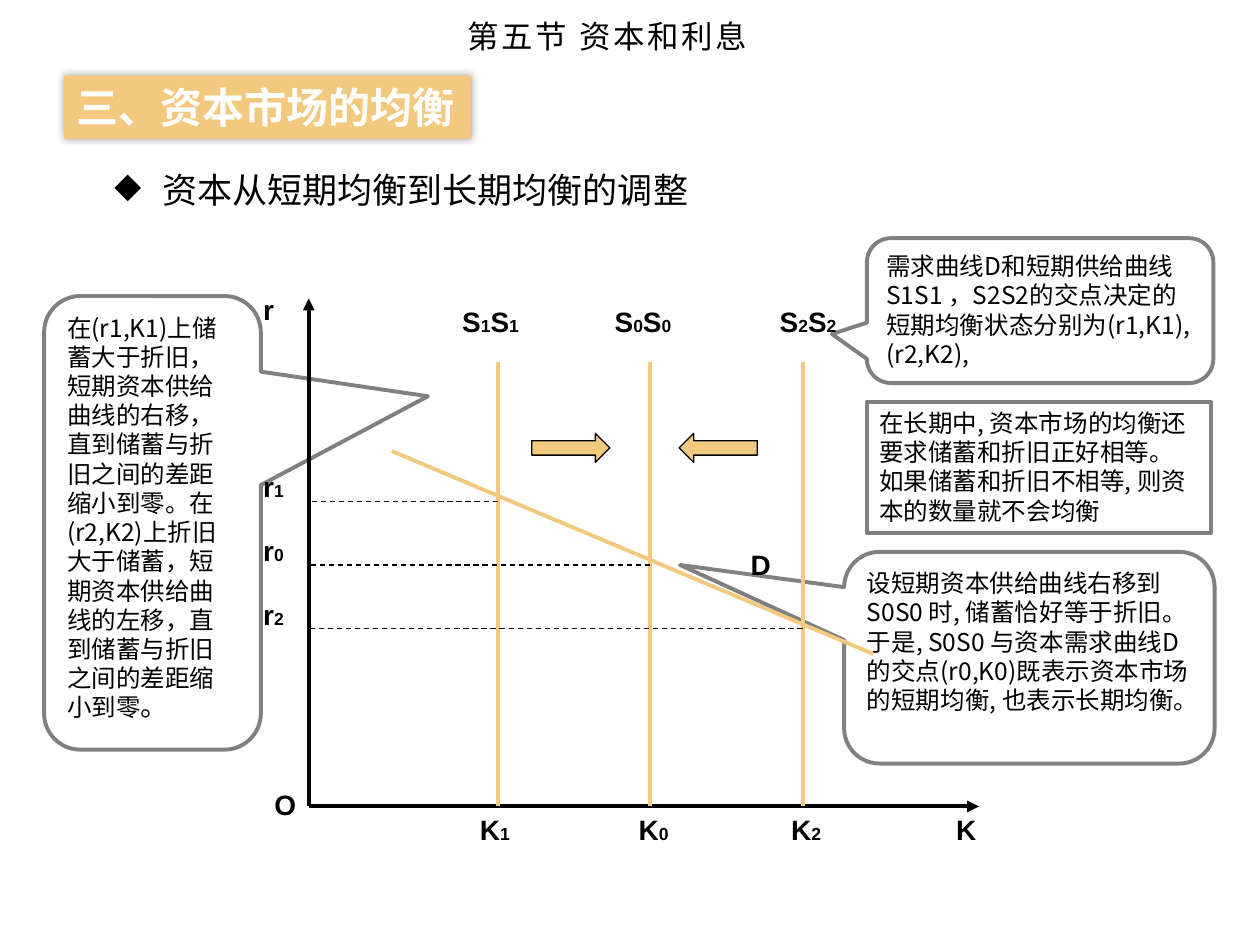
from lxml import etree
from pptx import Presentation, util as u
from pptx.dml.color import RGBColor
from pptx.enum import dml, shapes, text
from pptx.oxml.ns import qn

COLORS = {"ink": "000000", "sand": "F3C97F", "grey": "808080", "white": "FFFFFF"}
CJK, LATIN = "Noto Sans CJK SC", "Arial"
KIND = shapes.MSO_SHAPE

deck = Presentation()
deck.slide_width, deck.slide_height = u.Inches(10), u.Inches(7.5)
slide = deck.slides.add_slide(deck.slide_layouts[5])


def grid(*cells):
    """Lengths on a grid of 100 columns by 75 rows."""
    return [int(cell * deck.slide_width / 100) for cell in cells]


def write(holder, pieces, font=CJK, color="ink", bold=False, pitch=1.19):
    """Fill the first paragraph with (text, size) runs."""
    frame = holder.text_frame
    frame.word_wrap = True
    frame.vertical_anchor = text.MSO_ANCHOR.TOP
    line = frame.paragraphs[0]
    line.alignment = text.PP_ALIGN.LEFT
    if font == CJK:
        line.line_spacing = u.Pt(round(pieces[0][1] * pitch, 1))
    for words, size in pieces:
        run = line.add_run()
        run.text = words
        run.font.size, run.font.bold, run.font.name = u.Pt(size), bold, font
        run.font.color.rgb = RGBColor.from_string(COLORS[color])
        etree.SubElement(run._r.get_or_add_rPr(), qn("a:ea"), typeface=font)
    return line


# Section title
title = slide.shapes.title
title.left, title.top, title.width, title.height = grid(10, 0.4, 76.4, 5)
heading = write(title, [("第五节 资本和利息", 18)])
heading.alignment = text.PP_ALIGN.CENTER
title.text_frame.vertical_anchor = text.MSO_ANCHOR.MIDDLE
heading.runs[0]._r.get_or_add_rPr().set("spc", "150")

# Bulleted topic
topic = slide.shapes.add_textbox(*grid(8.1, 12.9, 90, 5))
bullet = topic.text_frame.paragraphs[0]._p.get_or_add_pPr()
indent = grid(3.8)[0]
bullet.set("marL", str(indent))
bullet.set("indent", str(-indent))
etree.SubElement(bullet, qn("a:buChar"), char="◆")
write(topic, [("资本从短期均衡到长期均衡的调整", 20)])

# Explanations around the chart
explanations = [
    (KIND.ROUNDED_RECTANGULAR_CALLOUT, (68.8, 18.9, 27.5, 11.5), (-0.601, 0.162, 0.167),
     [("需求曲线D和短期供给曲线S1S1 ，S2S2的交点决定的短期均衡状态分别为(r1,K1), (r2,K2),", 14)]),
    (KIND.RECTANGLE, (68.8, 31.9, 27.3, 10.4), (),
     [("在长期中, 资本市场的均衡还要求储蓄和折旧正好相等。"
       "如果储蓄和折旧不相等, 则资本的数量就不会均衡", 14)]),
    (KIND.ROUNDED_RECTANGULAR_CALLOUT, (67, 43.8, 29.4, 16.8), (-0.943, -0.438, 0.167),
     [("设短期资本供给曲线右移到S0S0 时, 储蓄恰好等于折旧。 于是, S0S0 与资本需求曲线D的交点"
       "(r0,K0)既表示资本市场的短期均衡, 也表示长期均衡。", 14)]),
    (KIND.ROUNDED_RECTANGULAR_CALLOUT, (3.5, 23.5, 17.2, 36), (1.271, -0.279, 0.167),
     [("在(r1,K1)上储蓄大于折旧，短期资本供给曲线的右移，直到储蓄与折旧之间的差距缩小到零。"
       "在(r2,K2)上折旧大于储蓄，短期资本供给曲线的左移，直到储蓄与折旧之间的差距缩小到零", 14),
      ("。", 16)]),
]
for kind, cells, adjustments, words in explanations:
    note = slide.shapes.add_shape(kind, *grid(*cells))
    note.shadow.inherit = False
    note.fill.background()
    note.line.color.rgb = RGBColor.from_string(COLORS["grey"])
    note.line.width = u.Pt(2.25)
    for index, value in enumerate(adjustments):
        note.adjustments[index] = value
    write(note, words)

# Axes, supply lines, demand line and dashed guides
origin_x, origin_y = 24.5, 64
capital = [39.5 + 12.1 * step for step in range(3)]
rates = [39.8 + 5.05 * step for step in range(3)]
subscripts = ["1", "0", "2"]
curves = [
    ((origin_x, origin_y, origin_x, 23.7), "ink", "axis"),
    ((origin_x, origin_y, 77.7, origin_y), "ink", "axis"),
    ((31.1, 35.8, 69.3, 51.9), "sand", "curve"),
]
for x, y in zip(capital, rates):
    curves.append(((x, 28.7, x, origin_y), "sand", "curve"))
    curves.append(((x, y, origin_x, y), "ink", "guide"))
for ends, color, role in curves:
    curve = slide.shapes.add_connector(shapes.MSO_CONNECTOR.STRAIGHT, *grid(*ends))
    curve.line.color.rgb = RGBColor.from_string(COLORS[color])
    curve.line.width = u.Pt(0.75 if role == "guide" else 2.25)
    if role == "guide":
        curve.line.dash_style = dml.MSO_LINE.DASH
    if role == "axis":
        etree.SubElement(curve.line._get_or_add_ln(), qn("a:tailEnd"), type="triangle")
    etree.SubElement(curve._element.spPr, qn("a:effectLst"))

# Chart labels: letters at 16 pt, subscripts at 10 pt
labels = [(19.9, 22.7, "r"), (20.8, 62, "O"), (74.9, 64, "K"), (58.6, 43, "D")]
supply_shift, capital_shift = [3.8, 3.8, 2.8], [2.4, 1.9, 1.9]
for i, mark in enumerate(subscripts):
    labels += [
        (capital[i] - supply_shift[i], 23.7, f"S{mark}S{mark}"),
        (19.9, rates[i] - 3, f"r{mark}"),
        (capital[i] - capital_shift[i], 64, f"K{mark}"),
    ]
for x, y, letters in labels:
    label = slide.shapes.add_textbox(*grid(x, y, 9 if len(letters) > 2 else 5.2, 4.7))
    write(label, [(c, 10 if c.isdigit() else 16) for c in letters], LATIN, bold=True)

# Arrows pointing at the long-run supply line
for kind, x in ((KIND.RIGHT_ARROW, 42.2), (KIND.LEFT_ARROW, 53.9)):
    shift = slide.shapes.add_shape(kind, *grid(x, 34.4, 6.2, 2.3))
    shift.shadow.inherit = False
    shift.fill.solid()
    shift.fill.fore_color.rgb = RGBColor.from_string(COLORS["sand"])
    shift.line.color.rgb = RGBColor.from_string(COLORS["ink"])
    shift.line.width = u.Pt(0.75)

# Banner with a soft shadow
banner = slide.shapes.add_shape(KIND.RECTANGLE, *grid(5.1, 6, 32.3, 5))
banner.fill.solid()
banner.fill.fore_color.rgb = RGBColor.from_string(COLORS["sand"])
banner.line.fill.background()
effects = etree.SubElement(banner._element.spPr, qn("a:effectLst"))
glow = etree.SubElement(effects, qn("a:outerShdw"), blurRad=str(u.Pt(5)), dist="0", dir="0")
tint = etree.SubElement(glow, qn("a:srgbClr"), val=COLORS["ink"])
etree.SubElement(tint, qn("a:alpha"), val="40000")
write(banner, [("三、资本市场的均衡", 24)], color="white", bold=True)
banner.text_frame.word_wrap = False

deck.save("out.pptx")
